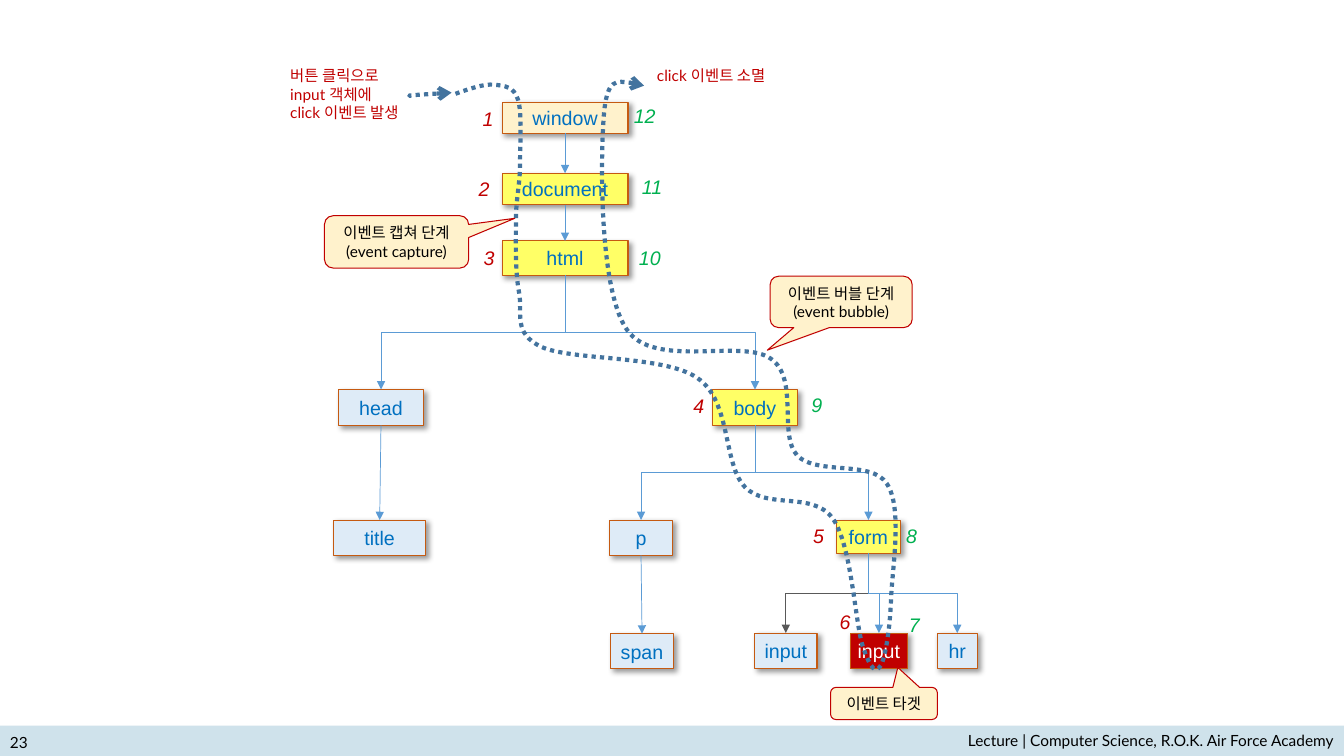
from dataclasses import dataclass

from lxml import etree
from pptx import Presentation
from pptx.dml.color import RGBColor
from pptx.enum.dml import MSO_LINE
from pptx.enum.shapes import MSO_CONNECTOR, MSO_SHAPE
from pptx.enum.text import MSO_ANCHOR, MSO_AUTO_SIZE, PP_ALIGN
from pptx.oxml.ns import qn
from pptx.util import Pt

RECTANGLE, CALLOUT = MSO_SHAPE.RECTANGLE, MSO_SHAPE.ROUNDED_RECTANGULAR_CALLOUT
STRAIGHT, ELBOW = MSO_CONNECTOR.STRAIGHT, MSO_CONNECTOR.ELBOW
LEFT, CENTER, RIGHT = PP_ALIGN.LEFT, PP_ALIGN.CENTER, PP_ALIGN.RIGHT
TOP, MIDDLE = MSO_ANCHOR.TOP, MSO_ANCHOR.MIDDLE
GROW, FIXED = MSO_AUTO_SIZE.SHAPE_TO_FIT_TEXT, MSO_AUTO_SIZE.NONE
DOTTED = MSO_LINE.ROUND_DOT
BOTTOM_SITE, TOP_SITE = 2, 0

Frame = tuple[float, float, float, float]
Point = tuple[float, float]


@dataclass(frozen=True)
class Theme:
    black: str = "000000"
    white: str = "FFFFFF"
    bar: str = "CFE2EB"
    cream: str = "FFF2CC"
    yellow: str = "FFFF66"
    pale: str = "DEEBF7"
    red: str = "C00000"
    green: str = "00B050"
    blue: str = "0070C0"
    orange: str = "C55A11"
    link: str = "5B9BD5"
    dark_link: str = "595959"
    trail: str = "43739E"
    node_font: str = "Arial"
    note_font: str = "Lato"
    node_size: float = 14
    note_size: float = 11


THEME = Theme()


@dataclass(frozen=True)
class Style:
    font: str = THEME.note_font
    size: float = THEME.note_size
    color: str = THEME.black
    italic: bool = False
    align: PP_ALIGN = LEFT
    anchor: MSO_ANCHOR = TOP
    wrap: bool = False
    fit: MSO_AUTO_SIZE = GROW
    before: float = 0


@dataclass(frozen=True)
class Node:
    key: str
    text: str
    frame: Frame
    fill: str
    color: str = THEME.blue


@dataclass(frozen=True)
class Link:
    parent: str
    child: str
    color: str = THEME.link


@dataclass(frozen=True)
class Callout:
    lines: tuple[str, ...]
    frame: Frame
    tip: Point
    wrap: bool = True


@dataclass(frozen=True)
class Note:
    lines: tuple[str, ...]
    frame: Frame
    style: Style


NODES = (
    Node("window", "window", (358.6, 72.9, 90, 22.4), THEME.cream),
    Node("document", "document", (358.6, 123.8, 90, 22.4), THEME.yellow),
    Node("html", "html", (358.6, 172.1, 90, 24.5), THEME.yellow),
    Node("head", "head", (241.9, 278.2, 60.5, 25.6), THEME.pale),
    Node("body", "body", (509, 278.2, 60.5, 25.6), THEME.yellow),
    Node("title", "title", (238.3, 371.5, 65.8, 25.2), THEME.pale),
    Node("p", "p", (435.6, 371.5, 44.6, 25.2), THEME.pale),
    Node("form", "form", (597.6, 371.5, 45.4, 23.8), THEME.yellow),
    Node("span", "span", (436.3, 452.6, 44.6, 25.2), THEME.pale),
    Node("input", "input", (539, 452.2, 44.6, 25.2), THEME.pale),
    Node("target", "input", (607.3, 452.2, 41, 25.2), THEME.red, THEME.white),
    Node("hr", "hr", (669.4, 452.2, 28.8, 25.2), THEME.pale),
)
LINKS = (
    Link("window", "document"), Link("document", "html"),
    Link("html", "head"), Link("html", "body"), Link("head", "title"),
    Link("body", "p"), Link("body", "form"), Link("p", "span"),
    Link("form", "input", THEME.dark_link), Link("form", "target"), Link("form", "hr"),
)
EVENT_TRAIL = (
    (325.4, 67), (335.5, 63.4), (345.6, 59.8), (352.8, 60.5),
    (360.7, 61.2), (367.2, 61.9), (370.1, 71.3), (373, 80.6), (371.5, 103), (371.5, 117.4),
    (371.5, 131.8), (368.6, 141.8), (368.6, 157), (368.6, 172.8), (367.9, 193.7), (370.8, 208.8),
    (373.7, 223.9), (365.8, 237.6), (386.6, 247.7), (408.2, 257.8), (474.5, 253.4), (498.2, 270),
    (522.7, 286.6), (516.2, 331.2), (532.1, 347.8), (547.9, 364.3), (580.3, 350.6), (594.7, 370.1),
    (608.4, 388.8), (610.6, 443.5), (616.3, 461.5), (622.1, 478.8), (625.7, 481), (629.3, 475.2),
    (632.2, 470.2), (635.8, 450), (636.5, 428.4), (637.2, 406.8), (645.1, 362.9), (633.6, 345.6),
    (622.8, 328.3), (583.9, 339.8), (569.5, 325.4), (555.8, 310.3), (571, 270.7), (550.8, 256.3),
    (529.9, 241.2), (467.3, 264.2), (447.8, 235.4), (427.7, 206.6), (429.1, 112.3), (431.3, 83.5),
    (433.4, 54.7), (446.4, 57.6), (460.1, 61.2),
)
ENTRY_TRAIL = ((293.8, 68.4), (287.3, 68.4), (322.6, 66.2), (322.6, 66.2))
STEP_POSITIONS = (
    (337.7, 72.7), (334.8, 123.1), (338.4, 172.1), (488.2, 277.9), (573.8, 370.8), (592.6, 432),
    (642.2, 434.2), (640.1, 370.8), (572.4, 277.2), (449.3, 172.1), (451.4, 121.7), (445.7, 70.6),
)
LAST_CAPTURE_STEP = 6
CALLOUTS = (
    Callout(("이벤트 캡쳐 단계", "(event capture)"), (231.8, 154.1, 103, 37.4), (0.82, -0.45)),
    Callout(("이벤트 버블 단계", "(event bubble)"), (550.1, 197.3, 101.5, 36.7), (-0.52, 0.94), False),
    Callout(("이벤트 타겟",), (593.3, 491, 76.3, 23), (0.13, -1.12)),
)
NOTES = (
    Note(("Lecture | Computer Science, R.O.K. Air Force Academy",), (54.7, 518.4, 905.3, 20.2),
         Style(align=RIGHT, wrap=True)),
    Note(("23",), (0, 521.3, 54.7, 17.3), Style(anchor=MIDDLE, wrap=True, fit=FIXED)),
    Note(("버튼 클릭으로", "input 객체에", "click 이벤트 발생"), (200.2, 43.9, 95, 47.5),
         Style(color=THEME.red)),
    Note(("click 이벤트 소멸",), (462.2, 43.9, 95, 20.9), Style(color=THEME.red)),
)


def write(shape, lines: tuple[str, ...], style: Style) -> None:
    frame = shape.text_frame
    frame.word_wrap, frame.auto_size = style.wrap, style.fit
    frame.vertical_anchor = style.anchor
    for index, line in enumerate(lines):
        para = frame.add_paragraph() if index else frame.paragraphs[0]
        para.alignment, para.space_before = style.align, Pt(style.before)
        span = para.add_run()
        span.text = line
        span.font.name, span.font.size = style.font, Pt(style.size)
        span.font.italic = style.italic
        span.font.color.rgb = RGBColor.from_string(style.color)


def add_box(page, kind: MSO_SHAPE, frame: Frame, fill: str, border: str | None = None):
    box = page.shapes.add_shape(kind, *map(Pt, frame))
    box.shadow.inherit = False
    box.fill.solid()
    box.fill.fore_color.rgb = RGBColor.from_string(fill)
    if border:
        set_line(box, border, 0.75)
    else:
        box.line.fill.background()
    return box


def set_line(shape, color: str, width: float, arrow: str | None = None) -> None:
    shape.line.color.rgb = RGBColor.from_string(color)
    shape.line.width = Pt(width)
    if arrow:
        etree.SubElement(shape.line._get_or_add_ln(), qn("a:tailEnd"), type=arrow)


def add_node(page, node: Node):
    box = add_box(page, RECTANGLE, node.frame, node.fill, THEME.orange)
    effects = box._element.spPr.find(qn("a:effectLst"))
    shadow = etree.SubElement(effects, qn("a:outerShdw"), blurRad=str(Pt(4)), dist=str(Pt(3)),
                              dir="2700000", algn="tl", rotWithShape="0")
    tint = etree.SubElement(shadow, qn("a:srgbClr"), val=THEME.black)
    etree.SubElement(tint, qn("a:alpha"), val="40000")
    frame = box.text_frame
    frame.margin_left = frame.margin_right = Pt(2.9)
    frame.margin_top = frame.margin_bottom = Pt(3.6)
    write(box, (node.text,), Style(THEME.node_font, THEME.node_size, node.color, align=CENTER,
                                   anchor=MIDDLE, fit=FIXED, before=2.8))
    return box


def add_link(page, parent, child, color: str) -> None:
    start_x, start_y = parent.left + parent.width // 2, parent.top + parent.height
    end_x, end_y = child.left + child.width // 2, child.top
    across, down = end_x - start_x, end_y - start_y
    bent = abs(across) > Pt(3)
    link = page.shapes.add_connector(ELBOW if bent else STRAIGHT, start_x, start_y, end_x, end_y)
    link.begin_connect(parent, BOTTOM_SITE)
    link.end_connect(child, TOP_SITE)
    if bent:
        link.left = (start_x + end_x - down) // 2
        link.top = (start_y + end_y - abs(across)) // 2
        link.width, link.height = down, abs(across)
        transform = link._element.spPr.find(qn("a:xfrm"))
        transform.set("rot", "16200000" if across > 0 else "5400000")
        transform.set("flipH", "1" if across > 0 else "0")
    set_line(link, color, 0.5, "triangle")
    etree.SubElement(link._element.spPr, qn("a:effectLst"))


def add_trail(page, points: tuple[Point, ...]) -> None:
    start, *rest = [(Pt(x), Pt(y)) for x, y in points]
    builder = page.shapes.build_freeform(*start)
    builder.add_line_segments(rest, close=False)
    trail = builder.convert_to_shape()
    segments = list(trail._element.iter(qn("a:lnTo")))
    outline = segments[0].getparent()
    for index in range(0, len(segments), 3):
        curve = etree.SubElement(outline, qn("a:cubicBezTo"))
        for segment in segments[index:index + 3]:
            curve.append(segment[0])
            outline.remove(segment)
    trail.shadow.inherit = False
    trail.fill.background()
    trail.line.dash_style = DOTTED
    set_line(trail, THEME.trail, 3, "arrow")


def add_callout(page, callout: Callout) -> None:
    box = add_box(page, CALLOUT, callout.frame, THEME.cream, THEME.red)
    box.adjustments[0], box.adjustments[1] = callout.tip
    write(box, callout.lines, Style(align=CENTER, wrap=callout.wrap))


def add_note(page, note: Note) -> None:
    write(page.shapes.add_textbox(*map(Pt, note.frame)), note.lines, note.style)


def main() -> None:
    deck = Presentation()
    deck.slide_width, deck.slide_height = Pt(960), Pt(540)
    page = deck.slides.add_slide(deck.slide_layouts[6])
    add_box(page, RECTANGLE, (0, 518.4, 960, 21.6), THEME.bar)
    boxes = {node.key: add_node(page, node) for node in NODES}
    for link in LINKS:
        add_link(page, boxes[link.parent], boxes[link.child], link.color)
    for points in (EVENT_TRAIL, ENTRY_TRAIL):
        add_trail(page, points)
    for step, (left, top) in enumerate(STEP_POSITIONS, 1):
        color = THEME.red if step <= LAST_CAPTURE_STEP else THEME.green
        style = Style(THEME.node_font, THEME.node_size, color, italic=True)
        add_note(page, Note((str(step),), (left, top, 22.3 if step < 10 else 30.6, 23), style))
    for callout in CALLOUTS:
        add_callout(page, callout)
    for note in NOTES:
        add_note(page, note)
    deck.save("out.pptx")


if __name__ == "__main__":
    main()
